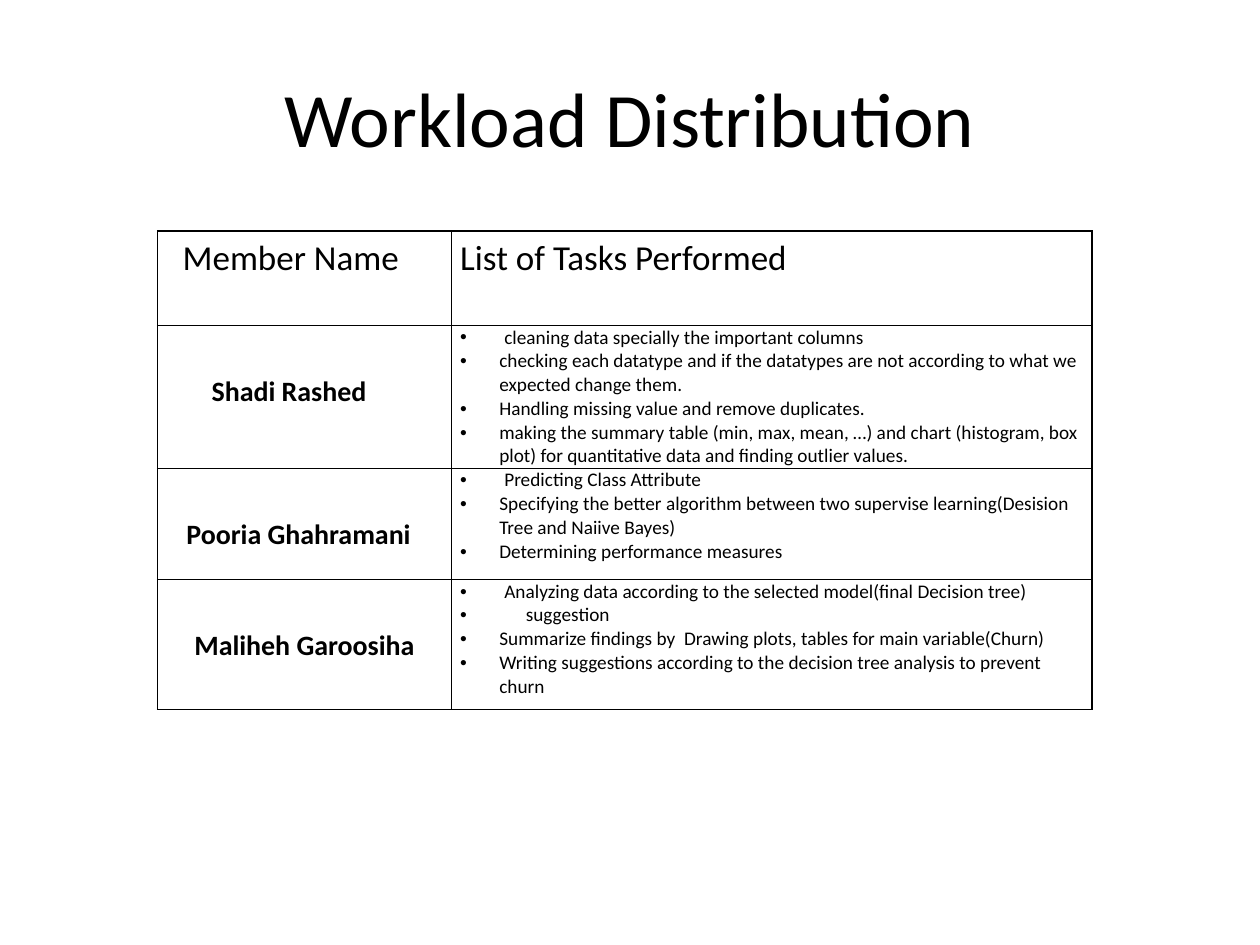
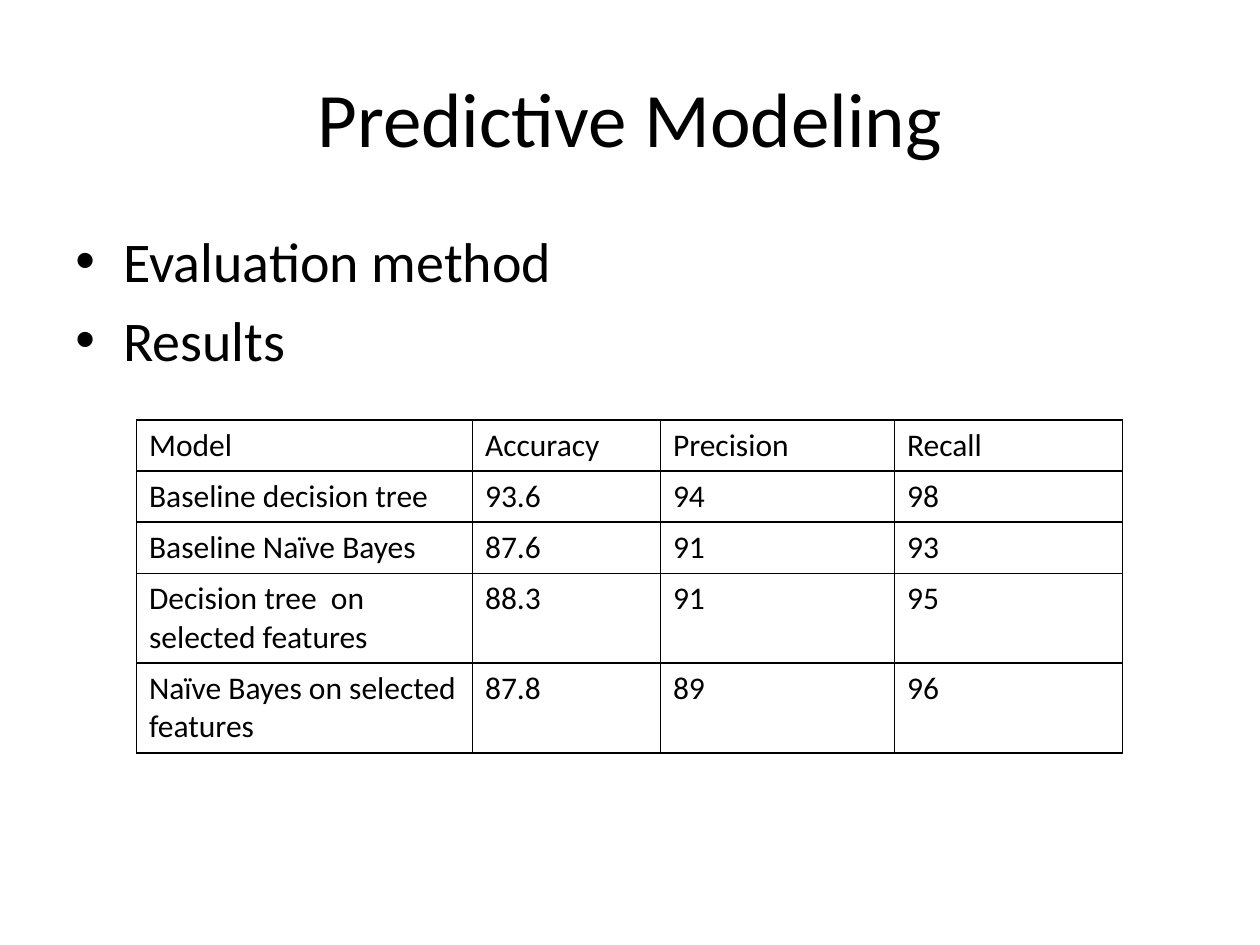
import pptx
import pptx.util
import pptx.dml.color
import pptx.enum.text
import pptx.oxml.ns
import lxml.etree

BLACK = pptx.dml.color.RGBColor(0, 0, 0)
FONT = "Calibri"
CENTER = pptx.enum.text.PP_ALIGN.CENTER

# The slide is a grid of 120 columns by 90 rows of square units
UNIT = pptx.util.Inches(10) // 120
COLUMNS, ROWS = 120, 90

WORKLOAD_HEADER = ("Member Name", "List of Tasks Performed")
# Each member: name, left indent in inches (None is centred), tasks.
# Each task: text, extra indent in inches.
WORKLOAD = [
    ("Shadi Rashed", 0.36, [
        ("cleaning data specially the important columns", 0.04),
        ("checking each datatype and if the datatypes are not according to "
         "what we expected change them.", 0),
        ("Handling missing value and remove duplicates.", 0),
        ("making the summary table (min, max, mean, …) and chart (histogram, "
         "box plot) for quantitative data and finding outlier values.", 0),
    ]),
    ("Pooria Ghahramani", 0.16, [
        ("Predicting Class Attribute", 0.04),
        ("Specifying the better algorithm between two supervise "
         "learning(Desision Tree and Naiive Bayes)", 0),
        ("Determining performance measures", 0),
    ]),
    ("Maliheh Garoosiha", None, [
        ("Analyzing data according to the selected model(final Decision tree)",
         0.04),
        ("suggestion", 0.21),
        ("Summarize findings by  Drawing plots, tables for main "
         "variable(Churn)", 0),
        ("Writing suggestions according to the decision tree analysis to "
         "prevent churn", 0),
    ]),
]

RESULTS = [
    ("Model", "Accuracy", "Precision", "Recall"),
    ("Baseline decision tree", "93.6", "94", "98"),
    ("Baseline Naïve Bayes", "87.6", "91", "93"),
    ("Decision tree  on selected features", "88.3", "91", "95"),
    ("Naïve Bayes on selected features", "87.8", "89", "96"),
]


def units(count):
    return int(count * UNIT)


def add_element(parent, tag, **attributes):
    element = lxml.etree.SubElement(parent, pptx.oxml.ns.qn(tag))
    for name, value in attributes.items():
        element.set(name, str(value))
    return element


def write(para, text, size, bold=False):
    para.text = text
    para.font.name = FONT
    para.font.size = pptx.util.Pt(size)
    para.font.bold = bold
    para.font.color.rgb = BLACK


def set_indent(para, left, hanging=0):
    properties = para._p.get_or_add_pPr()
    properties.set("marL", str(pptx.util.Inches(left)))
    properties.set("indent", str(-pptx.util.Inches(hanging)))
    return properties


def write_bullets(frame, items, size, indent, space_before=0):
    """Fill the frame with bullets; items are (text, extra indent) pairs."""
    for index, (text, extra) in enumerate(items):
        para = frame.add_paragraph() if index else frame.paragraphs[0]
        write(para, text, size)
        para.space_before = pptx.util.Pt(space_before)
        properties = set_indent(para, indent + extra, indent + extra)
        bullet_font = pptx.oxml.ns.qn("a:buFont")
        bullet = pptx.oxml.ns.qn("a:buChar")
        # Bullets come after the spacing and before the default run style
        default_run = properties.find(pptx.oxml.ns.qn("a:defRPr"))
        for tag, name, value in ((bullet_font, "typeface", "Arial"),
                                 (bullet, "char", "•")):
            element = lxml.etree.Element(tag)
            element.set(name, value)
            if default_run is None:
                properties.append(element)
            else:
                default_run.addprevious(element)


def add_text_box(slide, left, top, width, height):
    box = slide.shapes.add_textbox(*map(units, (left, top, width, height)))
    box.text_frame.word_wrap = True
    return box.text_frame


def add_titled_slide(deck, title):
    slide = deck.slides.add_slide(deck.slide_layouts[6])
    frame = add_text_box(slide, 6, 3.6, COLUMNS - 12, 15)
    frame.vertical_anchor = pptx.enum.text.MSO_ANCHOR.MIDDLE
    write(frame.paragraphs[0], title, 44)
    frame.paragraphs[0].alignment = CENTER
    return slide


def outline_cell(cell):
    """Black one-point lines on all sides and no fill."""
    properties = cell._tc.get_or_add_tcPr()
    for side in ("a:lnL", "a:lnR", "a:lnT", "a:lnB"):
        line = add_element(properties, side, w=pptx.util.Pt(1))
        fill = add_element(line, "a:solidFill")
        add_element(fill, "a:srgbClr", val=BLACK)
    cell.fill.background()


def add_grid_table(slide, left, top, widths, heights):
    table = slide.shapes.add_table(
        len(heights), len(widths), units(left), units(top),
        units(sum(widths)), units(sum(heights))).table
    table.first_row = table.horz_banding = False
    for column, width in zip(table.columns, widths):
        column.width = units(width)
    for row, height in zip(table.rows, heights):
        row.height = units(height)
    for cell in table.iter_cells():
        outline_cell(cell)
    return table


def write_label(cell, text, size, indent=0, bold=False):
    para = cell.text_frame.paragraphs[0]
    write(para, text, size, bold)
    para.line_spacing = 1.15
    if indent is None:
        para.alignment = CENTER
    else:
        set_indent(para, indent)


def add_workload_slide(deck):
    slide = add_titled_slide(deck, "Workload Distribution")
    table = add_grid_table(slide, 15, 22, (28, 61), (9, 13.6, 10.6, 12.4))
    for cell in table.iter_cells():
        cell.margin_left = cell.margin_right = pptx.util.Inches(0.07)
        cell.margin_top = cell.margin_bottom = 0

    # Header row
    for column, (text, indent) in enumerate(zip(WORKLOAD_HEADER, (0.13, 0))):
        write_label(table.cell(0, column), text, 20, indent)

    # One row for each member
    for row, (name, indent, tasks) in enumerate(WORKLOAD, start=1):
        name_cell = table.cell(row, 0)
        name_cell.margin_top = pptx.util.Inches(0.35)
        write_label(name_cell, name, 16, indent, bold=True)
        write_bullets(table.cell(row, 1).text_frame, tasks, 11, 0.31)


def add_modeling_slide(deck):
    slide = add_titled_slide(deck, "Predictive Modeling")
    body = add_text_box(slide, 6, 21, COLUMNS - 12, 59.4)
    write_bullets(body, [("Evaluation method", 0), ("Results", 0)],
                  32, 0.38, space_before=6.4)

    # Scores of the models
    table = add_grid_table(slide, 13, 40, (32, 17.9, 22.3, 21.7),
                           (4.87,) * 3 + (8.55,) * 2)
    for row, scores in enumerate(RESULTS):
        for column, text in enumerate(scores):
            para = table.cell(row, column).text_frame.paragraphs[0]
            write(para, text, 18)


def main():
    deck = pptx.Presentation()
    deck.slide_width, deck.slide_height = units(COLUMNS), units(ROWS)
    add_workload_slide(deck)
    add_modeling_slide(deck)
    deck.save("out.pptx")


if __name__ == "__main__":
    main()
